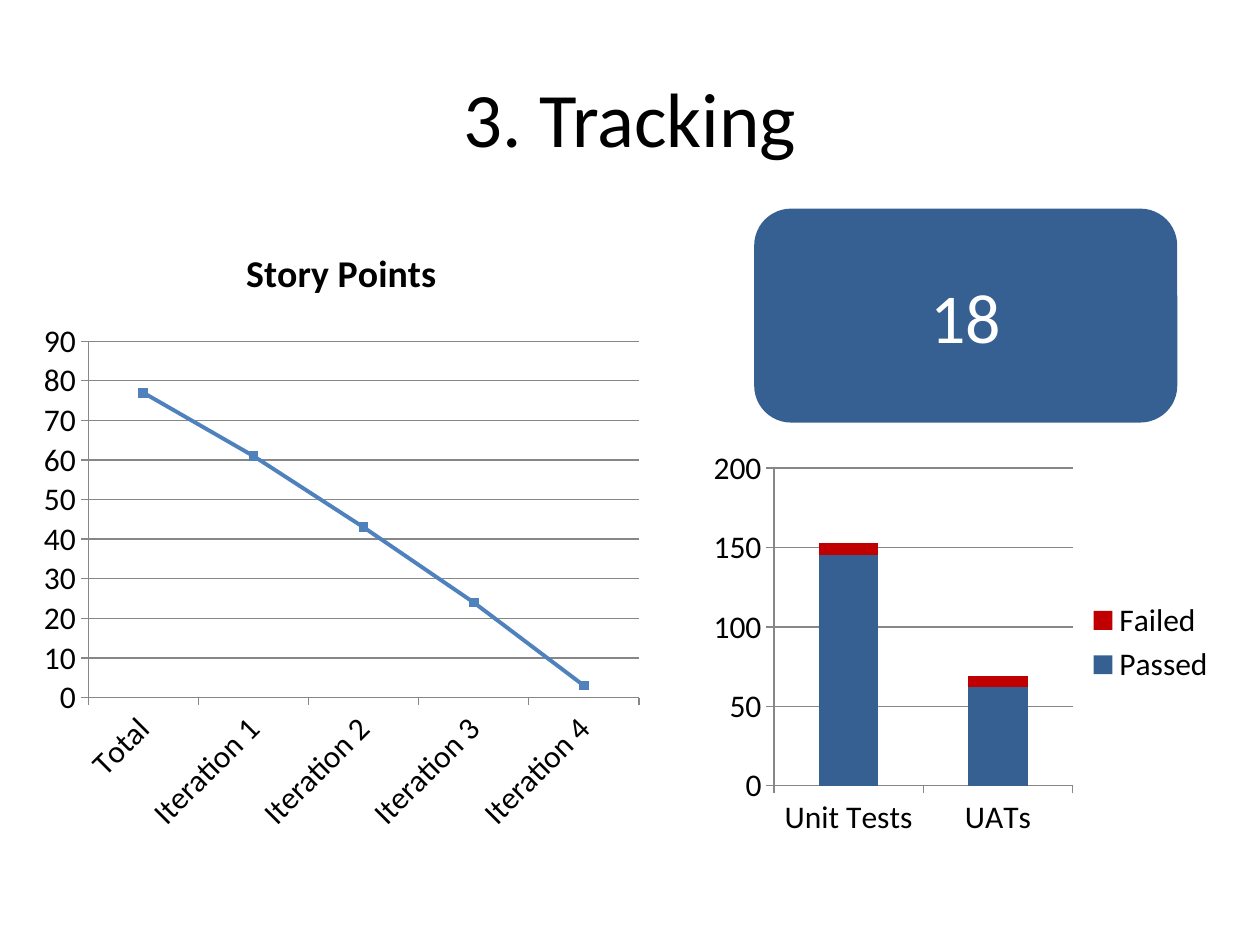
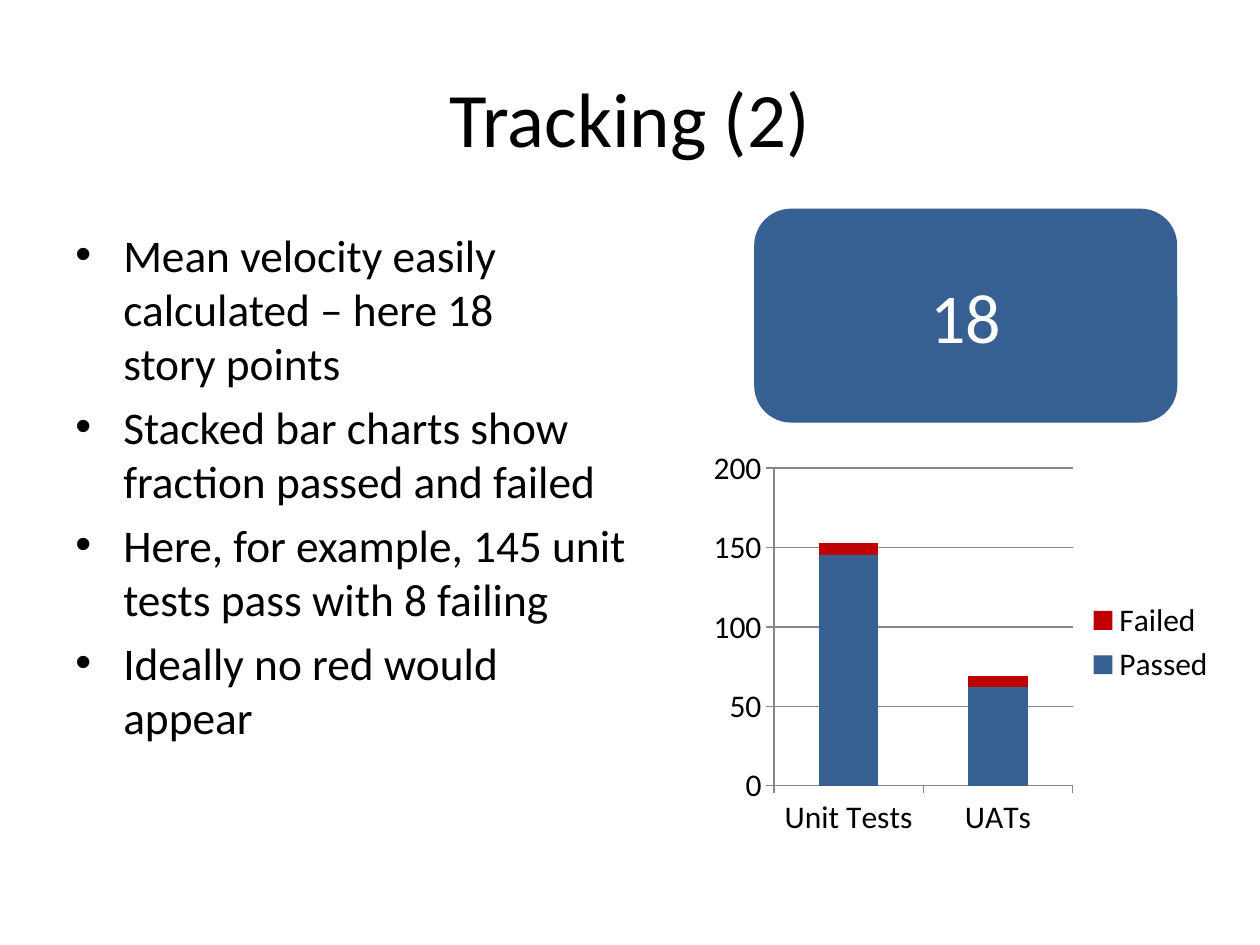
from dataclasses import dataclass
from pptx import Presentation
from pptx.chart.data import CategoryChartData
from pptx.dml.color import RGBColor
from pptx.enum.chart import (XL_CHART_TYPE as ChartType, XL_LEGEND_POSITION as LegendPosition,
                             XL_MARKER_STYLE as MarkerStyle, XL_TICK_MARK as TickMark)
from pptx.enum.shapes import MSO_SHAPE as Preset
from pptx.enum.text import MSO_ANCHOR as Anchor, PP_ALIGN as Align
from pptx.oxml.ns import qn
from pptx.util import Inches, Pt


@dataclass(frozen=True)
class Theme:
    font: str = "Calibri"
    ink: RGBColor = RGBColor(0, 0, 0)
    paper: RGBColor = RGBColor(255, 255, 255)
    passed: RGBColor = RGBColor(0x37, 0x60, 0x92)
    failed: RGBColor = RGBColor(0xC0, 0, 0)
    burndown: RGBColor = RGBColor(0x4F, 0x81, 0xBD)
    grid: RGBColor = RGBColor(0x87, 0x87, 0x87)
    title: float = 44
    velocity: float = 40
    body: float = 25.9
    chart_title: float = 21.6
    chart: float = 18


THEME = Theme()
TITLE_BOX = (0.5, 0.3, 9, 1.25)
BURNDOWN_BOX = (0.25, 1.75, 4.92, 4.95)
NOTES_BOX = (0.5, 1.75, 4.58, 4.95)
DASHBOARD_BOX = (5.58, 1.67, 4.17, 5.03)

NOTES = [
    "Mean velocity easily calculated – here 18\vstory points",
    "Stacked bar charts show fraction passed and failed",
    "Here, for example, 145 unit tests pass with 8 failing",
    "Ideally no red would appear",
]


def inches(box):
    return [Inches(length) for length in box]


def style_font(font, size, color=THEME.ink, bold=False):
    font.name = THEME.font
    font.size = Pt(size)
    font.color.rgb = color
    font.bold = bold


def style_runs(paragraph, size, color=THEME.ink):
    for run in paragraph.runs:
        style_font(run.font, size, color)


def add_title(slide, box, wording):
    frame = slide.shapes.add_textbox(*inches(box)).text_frame
    frame.word_wrap = True
    frame.vertical_anchor = Anchor.MIDDLE
    frame.text = wording
    heading = frame.paragraphs[0]
    heading.alignment = Align.CENTER
    style_runs(heading, THEME.title)


def add_notes(slide, box, notes):
    frame = slide.shapes.add_textbox(*inches(box)).text_frame
    frame.word_wrap = True
    for index, note in enumerate(notes):
        paragraph = frame.add_paragraph() if index else frame.paragraphs[0]
        paragraph.text = note
        paragraph.space_before = Pt(THEME.body * 0.2)
        style_runs(paragraph, THEME.body)
        properties = paragraph._p.get_or_add_pPr()
        properties.set("marL", str(Inches(0.38)))
        properties.set("indent", str(-Inches(0.38)))
        bullet_font = properties.makeelement(qn("a:buFont"), {"typeface": "Arial"})
        bullet = properties.makeelement(qn("a:buChar"), {"char": "•"})
        properties.extend([bullet_font, bullet])


def add_chart(slide, box, kind, categories, series):
    data = CategoryChartData()
    data.categories = categories
    for name, values in series.items():
        data.add_series(name, values)
    chart = slide.shapes.add_chart(kind, *inches(box), data).chart
    style_font(chart.font, THEME.chart)
    chart.has_title = False
    chart.has_legend = False
    chart.plots[0].vary_by_categories = False
    for axis in (chart.category_axis, chart.value_axis):
        axis.major_tick_mark = TickMark.OUTSIDE
        axis.minor_tick_mark = TickMark.NONE
        axis.format.line.color.rgb = THEME.grid
        axis.format.line.width = Pt(0.75)
    chart.category_axis.has_major_gridlines = False
    chart.value_axis.has_major_gridlines = True
    gridline = chart.value_axis.major_gridlines.format.line
    gridline.color.rgb = THEME.grid
    gridline.width = Pt(0.75)
    return chart


def add_burndown(slide, box):
    categories = ["Total"] + [f"Iteration {number}" for number in range(1, 5)]
    chart = add_chart(slide, box, ChartType.LINE_MARKERS, categories,
                      {"Story Points": (77, 61, 43, 24, 3)})
    chart.has_title = True
    chart.chart_title.include_in_layout = False
    heading = chart.chart_title.text_frame
    heading.text = "Story Points"
    style_font(heading.paragraphs[0].runs[0].font, THEME.chart_title, bold=True)
    labels = chart.category_axis.tick_labels
    style_font(labels.font, THEME.chart)
    chart.category_axis._element.find(qn("c:txPr")).find(qn("a:bodyPr")).set("rot", "-2700000")
    points = chart.plots[0].series[0]
    points.smooth = False
    points.format.line.color.rgb = THEME.burndown
    points.format.line.width = Pt(2.25)
    points.marker.style = MarkerStyle.SQUARE
    points.marker.size = 5
    points.marker.format.fill.solid()
    points.marker.format.fill.fore_color.rgb = THEME.burndown
    points.marker.format.line.color.rgb = THEME.burndown


def add_test_results(slide, box):
    chart = add_chart(slide, box, ChartType.COLUMN_STACKED, ["Unit Tests", "UATs"],
                      {"Passed": (145, 62), "Failed": (8, 7)})
    chart.has_legend = True
    chart.legend.position = LegendPosition.RIGHT
    chart.legend.include_in_layout = False
    style_font(chart.legend.font, THEME.chart)
    columns = chart.plots[0]
    columns.gap_width = 150
    columns.overlap = 100
    for outcome, color in zip(columns.series, (THEME.passed, THEME.failed)):
        outcome.format.fill.solid()
        outcome.format.fill.fore_color.rgb = color


def add_velocity(slide, box):
    card = slide.shapes.add_shape(Preset.ROUNDED_RECTANGLE, *inches(box))
    card.shadow.inherit = False
    card.fill.solid()
    card.fill.fore_color.rgb = THEME.passed
    card.line.color.rgb = THEME.passed
    card.line.width = Pt(2)
    frame = card.text_frame
    frame.vertical_anchor = Anchor.MIDDLE
    frame.text = "18"
    frame.paragraphs[0].alignment = Align.CENTER
    style_runs(frame.paragraphs[0], THEME.velocity, THEME.paper)


def add_dashboard(slide, box):
    left, top, width, height = box
    results_height = 3.2
    add_test_results(slide, (left, top + height - results_height, width, results_height))
    add_velocity(slide, (left + 0.42, top, width - 0.84, 1.67))


def add_tracking_slide(deck, title):
    slide = deck.slides.add_slide(deck.slide_layouts[6])
    add_title(slide, TITLE_BOX, title)
    add_dashboard(slide, DASHBOARD_BOX)
    return slide


deck = Presentation()
deck.slide_width, deck.slide_height = Inches(10), Inches(7.5)
add_burndown(add_tracking_slide(deck, "3. Tracking"), BURNDOWN_BOX)
add_notes(add_tracking_slide(deck, "Tracking (2)"), NOTES_BOX, NOTES)
deck.save("out.pptx")
